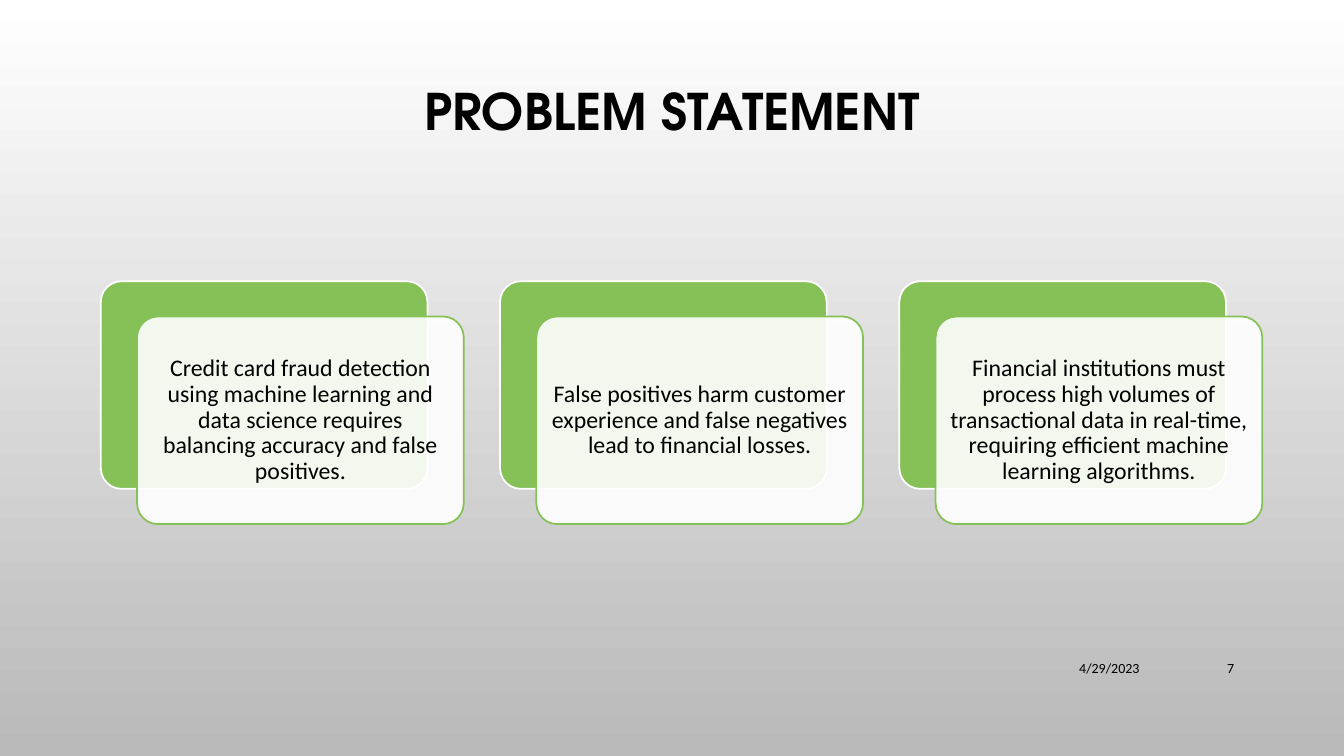
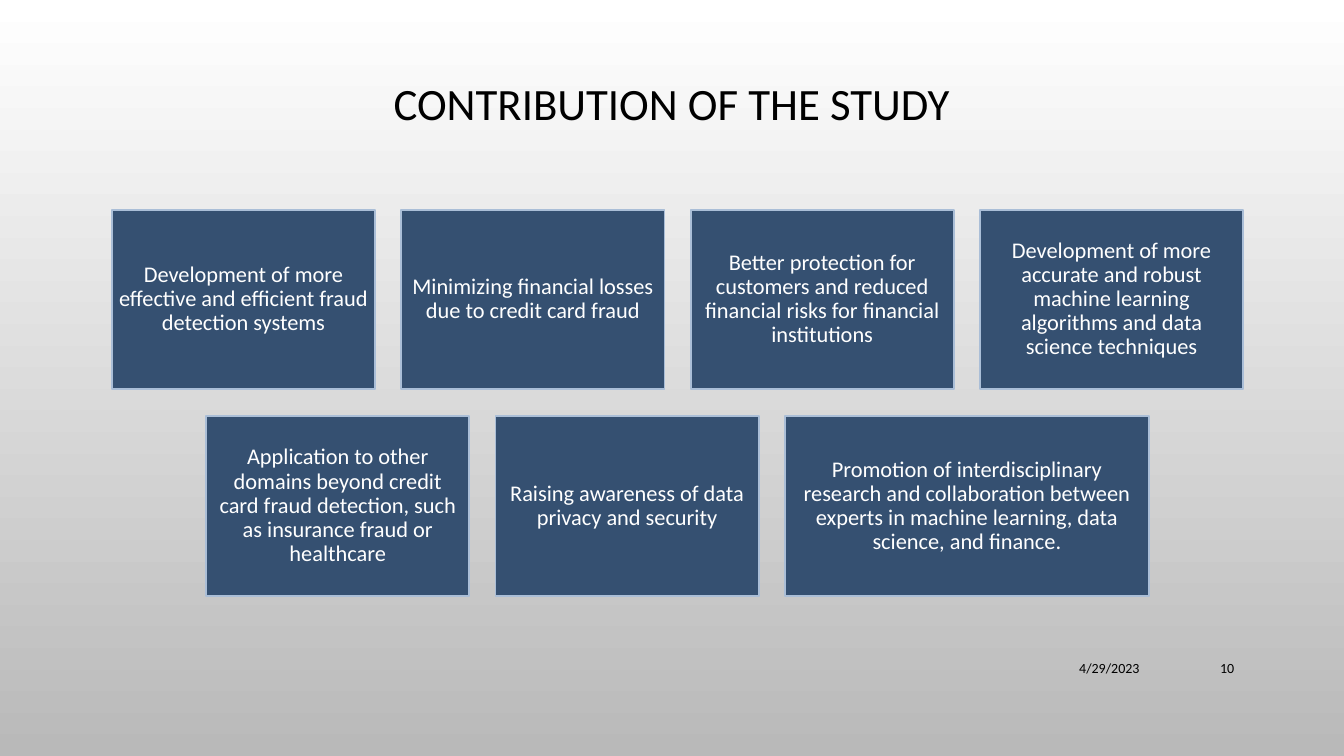
from lxml import etree
from pptx import Presentation
from pptx.dml.color import RGBColor
from pptx.enum.shapes import MSO_SHAPE as SHAPE
from pptx.enum.text import MSO_ANCHOR as ANCHOR, MSO_AUTO_SIZE as AUTO_SIZE, PP_ALIGN as ALIGN
from pptx.oxml.ns import qn
from pptx.util import Emu, Pt

EMU_PER_PX = 9144  # 100 px to the inch
SLIDE_W, SLIDE_H = 1333, 750
TITLE_ONLY = 5

BODY_FONT = "Calibri"
DISPLAY_FONT = "TeX Gyre Adventor"
BLACK, WHITE, GREY = "000000", "FFFFFF", "B9B9B9"
GREEN, NAVY, PALE_BLUE = "86C157", "355071", "AABED7"

TITLE_X, TITLE_Y, TITLE_W = 100, 68, 1133
DATE_BOX = (840, 643, 300, 40)
NUMBER_BOX = (1150, 643, 84, 40)
DATE = "4/29/2023"
TEXT_INSET = 7
OUTLINE_PT = 1.25

PROBLEMS = [
    "Credit card fraud detection using machine learning and data science "
    "requires balancing accuracy and false positives.",
    "False positives harm customer experience and false negatives lead to financial losses.",
    "Financial institutions must process high volumes of transactional data in real-time, "
    "requiring efficient machine learning algorithms.",
]

# Each row lists (tile width, text)
CONTRIBUTION_ROWS = [
    [
        (261, "Development of more effective and efficient fraud detection systems"),
        (261, "Minimizing financial losses due to credit card fraud"),
        (261, "Better protection for customers and reduced financial risks for financial institutions"),
        (261, "Development of more accurate and robust machine learning algorithms "
              "and data science techniques"),
    ],
    [
        (261, "Application to other domains beyond credit card fraud detection, "
              "such as insurance fraud or healthcare"),
        (261, "Raising awareness of data privacy and security"),
        (361, "Promotion of interdisciplinary research and collaboration between experts "
              "in machine learning, data science, and finance."),
    ],
]


def px(length):
    return Emu(round(length * EMU_PER_PX))


def rgb(hex_colour):
    return RGBColor.from_string(hex_colour)


def write(shape, text, size, colour=BLACK, font=BODY_FONT, bold=False,
          align=ALIGN.CENTER, spacing=0.9, inset=None):
    frame = shape.text_frame
    frame.text = text
    frame.word_wrap = True
    frame.auto_size = AUTO_SIZE.NONE
    frame.vertical_anchor = ANCHOR.MIDDLE
    if inset is not None:
        frame.margin_left = frame.margin_right = px(inset)
        frame.margin_top = frame.margin_bottom = px(inset)
    paragraph = frame.paragraphs[0]
    paragraph.alignment = align
    paragraph.line_spacing = spacing
    run_font = paragraph.runs[0].font
    run_font.name, run_font.size, run_font.bold = font, Pt(size), bold
    run_font.color.rgb = rgb(colour)


def add_panel(slide, kind, box, fill, outline, opacity=100):
    panel = slide.shapes.add_shape(kind, *map(px, box))
    panel.shadow.inherit = False
    panel.fill.solid()
    panel.fill.fore_color.rgb = rgb(fill)
    panel.line.color.rgb = rgb(outline)
    panel.line.width = Pt(OUTLINE_PT)
    if kind == SHAPE.ROUNDED_RECTANGLE:
        panel.adjustments[0] = 0.1
    if opacity < 100:
        colour = panel.fill._xPr.find(qn("a:solidFill"))[0]
        etree.SubElement(colour, qn("a:alpha"), val=str(opacity * 1000))
    return panel


def style_master(prs):
    """Give every slide the white-to-grey background."""
    fill = prs.slide_master.background.fill
    fill.gradient()
    fill.gradient_angle = 270
    for stop, colour in zip(fill.gradient_stops, (WHITE, GREY)):
        stop.color.rgb = rgb(colour)


def add_footer(slide, number):
    for box, text in ((DATE_BOX, DATE), (NUMBER_BOX, str(number))):
        footer = slide.shapes.add_textbox(*map(px, box))
        write(footer, text, 10, align=ALIGN.RIGHT, spacing=1.0)


def add_titled_slide(prs, title_text, number, title_h, **title_style):
    slide = prs.slides.add_slide(prs.slide_layouts[TITLE_ONLY])
    title = slide.shapes.title
    title.left, title.top = px(TITLE_X), px(TITLE_Y)
    title.width, title.height = px(TITLE_W), px(title_h)
    write(title, title_text, **title_style)
    add_footer(slide, number)
    return slide


def add_layered_cards(slide, box, texts, gap=36, shift_x=36, shift_y=35):
    """Spread cards over the box, each a text panel shifted over a green one."""
    left, top, width, height = box
    card_w = (width - gap * (len(texts) - 1)) / len(texts)
    panel_w, panel_h = card_w - shift_x, height - shift_y
    for i, text in enumerate(texts):
        x = left + i * (card_w + gap)
        add_panel(slide, SHAPE.ROUNDED_RECTANGLE, (x, top, panel_w, panel_h), GREEN, WHITE)
        front = add_panel(slide, SHAPE.ROUNDED_RECTANGLE,
                          (x + shift_x, top + shift_y, panel_w, panel_h),
                          WHITE, GREEN, opacity=90)
        write(front, text, 17, inset=TEXT_INSET)


def add_tile_rows(slide, box, rows, gap_x=26, gap_y=27):
    """Fill the box with rows of tiles, each row centred in it."""
    left, top, width, height = box
    tile_h = (height - gap_y * (len(rows) - 1)) / len(rows)
    for i, row in enumerate(rows):
        row_w = sum(tile_w for tile_w, _ in row) + gap_x * (len(row) - 1)
        x = left + (width - row_w) / 2
        y = top + i * (tile_h + gap_y)
        for tile_w, text in row:
            tile = add_panel(slide, SHAPE.RECTANGLE, (x, y, tile_w, tile_h), NAVY, PALE_BLUE)
            write(tile, text, 16, WHITE, inset=TEXT_INSET)
            x += tile_w + gap_x


def build_problem_slide(prs):
    slide = add_titled_slide(prs, "PROBLEM STATEMENT", 7, title_h=91,
                             size=36, font=DISPLAY_FONT, bold=True)
    add_layered_cards(slide, (100, 279, 1152, 241), PROBLEMS)


def build_contribution_slide(prs):
    slide = add_titled_slide(prs, "CONTRIBUTION OF THE STUDY", 10, title_h=74, size=32)
    add_tile_rows(slide, (111, 208, 1122, 383), CONTRIBUTION_ROWS)


def main():
    prs = Presentation()
    prs.slide_width, prs.slide_height = px(SLIDE_W), px(SLIDE_H)
    style_master(prs)
    build_problem_slide(prs)
    build_contribution_slide(prs)
    prs.save("out.pptx")


if __name__ == "__main__":
    main()
